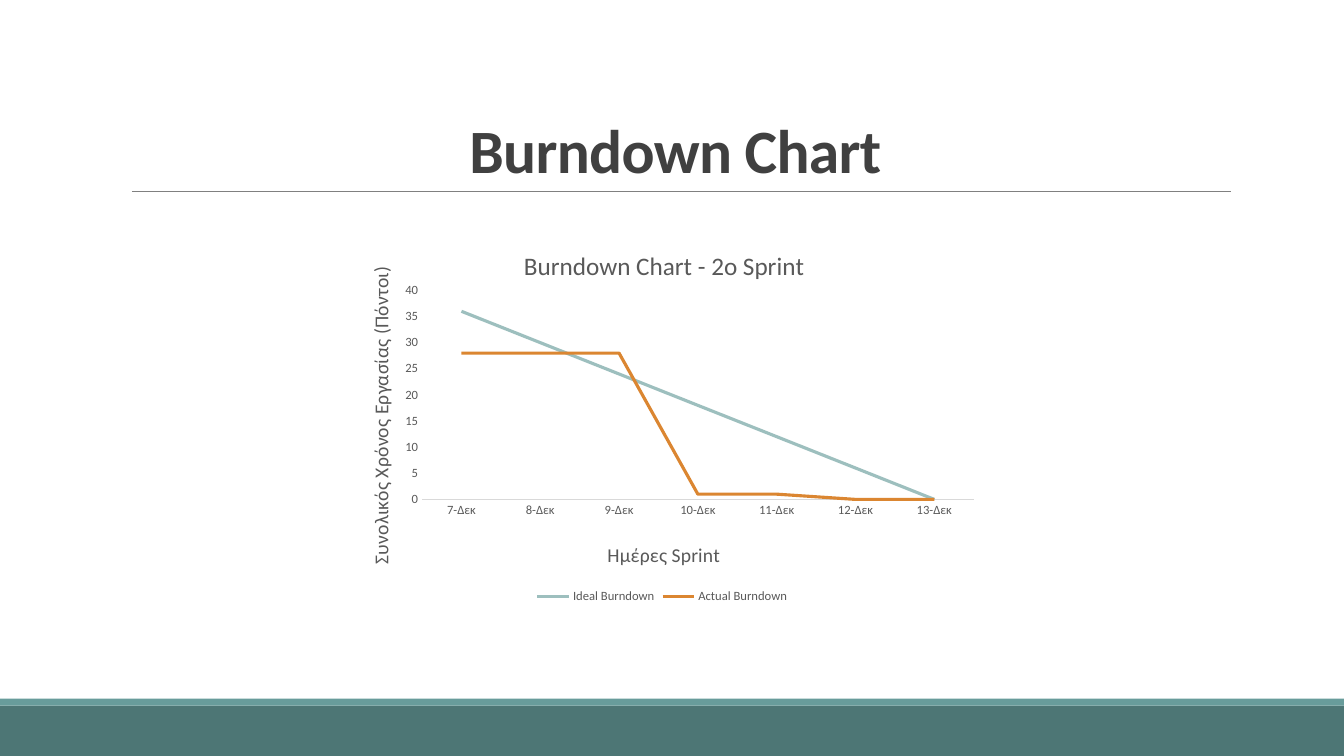
from lxml import etree
from pptx import Presentation
from pptx.chart.data import CategoryChartData
from pptx.dml.color import RGBColor
from pptx.enum.chart import XL_CHART_TYPE as ChartType
from pptx.enum.chart import XL_LEGEND_POSITION as LegendPosition
from pptx.enum.chart import XL_TICK_MARK as TickMark
from pptx.enum.shapes import MSO_CONNECTOR as Connector
from pptx.enum.shapes import MSO_SHAPE as Shape
from pptx.enum.text import MSO_ANCHOR as Anchor
from pptx.enum.text import PP_ALIGN as Align
from pptx.oxml.ns import qn
from pptx.util import Pt

WIDTH, HEIGHT = 960, 540


def color(hex_code):
    return RGBColor.from_string(hex_code)


def set_layout(element, inner=False, **fractions):
    """Place a chart part by fractions of the chart area."""
    layout = element.find(qn("c:layout"))
    if layout is None:
        layout = etree.Element(qn("c:layout"))
        element.insert(0, layout)
    manual = etree.SubElement(layout, qn("c:manualLayout"))
    settings = {"layoutTarget": "inner"} if inner else {}
    settings.update(xMode="edge", yMode="edge", **fractions)
    for name, value in settings.items():
        etree.SubElement(manual, qn(f"c:{name}")).set("val", str(value))


class SlideBuilder:
    font = "Calibri"
    heading = "404040"
    muted = "595959"

    def __init__(self, slide):
        self.slide = slide

    def style(self, font, size, hex_code, bold=False):
        font.name, font.size, font.bold = self.font, Pt(size), bold
        font.color.rgb = color(hex_code)

    def band(self, top, height, fill):
        shape = self.slide.shapes.add_shape(
            Shape.RECTANGLE, 0, Pt(top), Pt(WIDTH), Pt(height))
        shape.shadow.inherit = False
        shape.fill.solid()
        shape.fill.fore_color.rgb = color(fill)
        shape.line.fill.background()

    def rule(self, left, right, y, hex_code, width):
        line = self.slide.shapes.add_connector(
            Connector.STRAIGHT, Pt(left), Pt(y), Pt(right), Pt(y))
        line.line.color.rgb = color(hex_code)
        line.line.width = Pt(width)
        etree.SubElement(line._element.spPr, qn("a:effectLst"))

    def title(self, text, left, top, width, height):
        box = self.slide.shapes.add_textbox(
            Pt(left), Pt(top), Pt(width), Pt(height))
        frame = box.text_frame
        frame.word_wrap = True
        frame.vertical_anchor = Anchor.BOTTOM
        paragraph = frame.paragraphs[0]
        paragraph.alignment = Align.CENTER
        paragraph.line_spacing = 0.85
        run = paragraph.add_run()
        run.text = text
        self.style(run.font, 44, self.heading, bold=True)
        run.font._element.set("spc", "-50")

    def chart_title(self, title, text, size, x, y):
        paragraph = title.text_frame.paragraphs[0]
        paragraph.text = text
        self.style(paragraph.font, size, self.muted)
        set_layout(title._element, x=x, y=y)

    def axis(self, axis):
        axis.has_major_gridlines = False
        axis.major_tick_mark = axis.minor_tick_mark = TickMark.NONE
        self.style(axis.tick_labels.font, 9, self.muted)

    def line_chart(self, left, top, width, height, categories, series):
        data = CategoryChartData(number_format="General")
        data.categories = categories
        for name, values, _ in series:
            data.add_series(name, values)
        chart = self.slide.shapes.add_chart(
            ChartType.LINE, Pt(left), Pt(top), Pt(width), Pt(height), data).chart
        self.style(chart.font, 10, "000000")
        chart.plots[0].vary_by_categories = False
        for line, (_, _, hex_code) in zip(chart.plots[0].series, series):
            line.smooth = False
            line.format.line.color.rgb = color(hex_code)
            line.format.line.width = Pt(2.25)
        self.axis(chart.category_axis)
        self.axis(chart.value_axis)
        chart.has_legend = True
        chart.legend.position = LegendPosition.BOTTOM
        chart.legend.include_in_layout = False
        self.style(chart.legend.font, 9, self.muted)
        return chart


def main():
    presentation = Presentation()
    presentation.slide_width, presentation.slide_height = Pt(WIDTH), Pt(HEIGHT)
    builder = SlideBuilder(
        presentation.slides.add_slide(presentation.slide_layouts[6]))

    # Footer bands and heading
    builder.band(504, 36, "4D7675")
    builder.band(499, 5, "689C9B")
    builder.rule(94.3, 879, 136.8, "808080", 0.5)
    builder.title("Burndown Chart", 86.4, 22.3, 792, 114.5)

    # Burndown chart
    chart = builder.line_chart(
        241.2, 157.7, 463.7, 276.5,
        [f"{day}-Δεκ" for day in range(7, 14)],
        [("Ideal Burndown", range(36, -1, -6), "9DBFBE"),
         ("Actual Burndown", (28, 28, 28, 1, 1, 0, 0), "DB8631")])
    days, points = chart.category_axis, chart.value_axis
    days.format.line.color.rgb = color("D9D9D9")
    days.format.line.width = Pt(0.75)
    points.format.line.fill.background()
    points.minimum_scale, points.maximum_scale, points.major_unit = 0, 40, 5

    # Chart and axis titles
    builder.chart_title(
        chart.chart_title, "Burndown Chart - 2ο Sprint", 18, 0.28, 0.06)
    builder.chart_title(days.axis_title, "Ημέρες Sprint", 14, 0.41, 0.82)
    builder.chart_title(
        points.axis_title, "Συνολικός Χρόνος Εργασίας (Πόντοι)", 14, 0.04, 0.11)
    body = points.axis_title.text_frame._txBody.bodyPr
    body.set("rot", "-5400000")
    body.set("vert", "horz")
    plot_area = chart._chartSpace.chart.plotArea
    set_layout(plot_area, inner=True, x=0.13, y=0.18, w=0.85, h=0.54)

    presentation.save("out.pptx")


if __name__ == "__main__":
    main()
